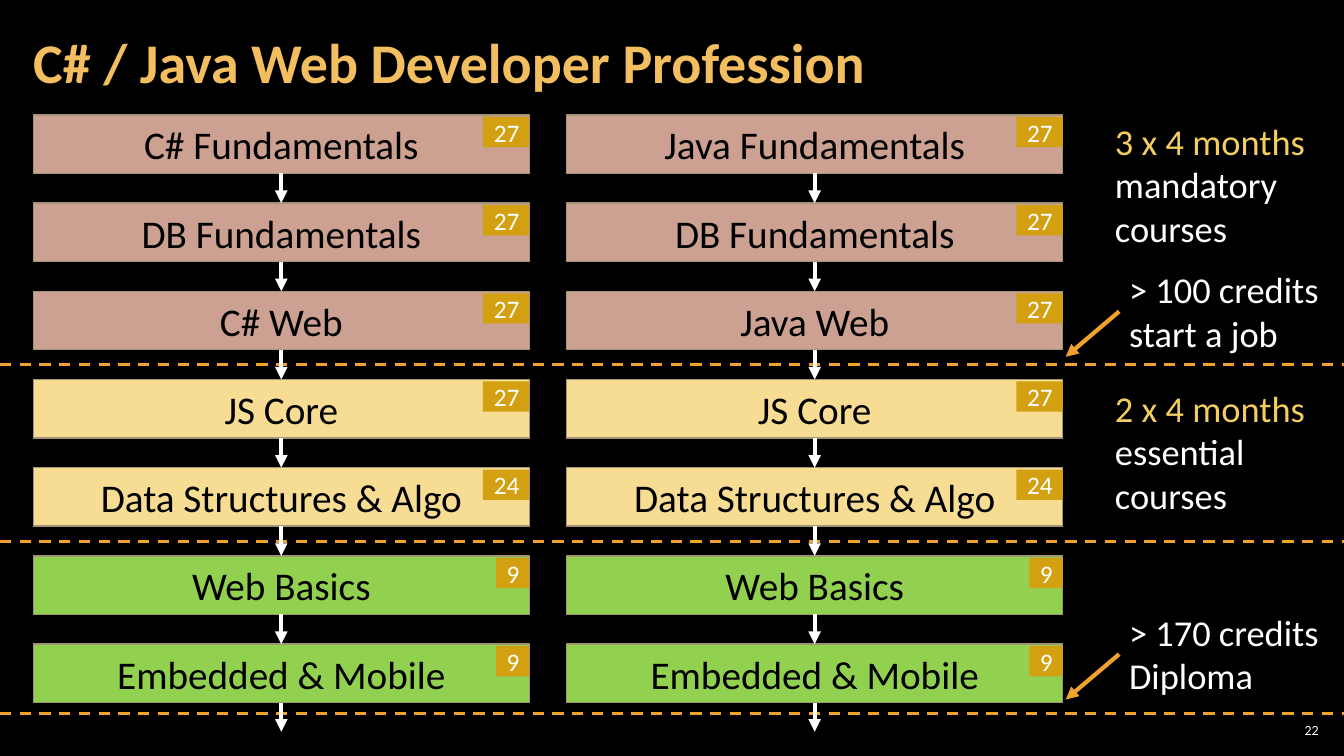
from lxml import etree
from pptx import Presentation
from pptx.dml.color import RGBColor
from pptx.enum.dml import MSO_LINE
from pptx.enum.shapes import MSO_CONNECTOR, MSO_SHAPE
from pptx.enum.text import MSO_ANCHOR, PP_ALIGN
from pptx.oxml.ns import qn
from pptx.util import Inches, Pt

RECTANGLE = MSO_SHAPE.RECTANGLE
STRAIGHT = MSO_CONNECTOR.STRAIGHT
DASH = MSO_LINE.DASH
LEFT, CENTER, RIGHT = PP_ALIGN.LEFT, PP_ALIGN.CENTER, PP_ALIGN.RIGHT
TOP, MIDDLE = MSO_ANCHOR.TOP, MSO_ANCHOR.MIDDLE
BOTTOM_SIDE, TOP_SIDE = 2, 0

WIDTH, HEIGHT = 13.33, 7.5
COLUMN_LEFTS = (0.33, 5.62)
COURSE_WIDTH, COURSE_HEIGHT = 4.92, 0.58
FIRST_ROW, ROW_STEP = 1.14, 0.87
ROW_GAP = ROW_STEP - COURSE_HEIGHT
BADGE_HEIGHT = 0.3
WHITE, BLACK, ORANGE, GOLD = "FFFFFF", "000000", "F0A22E", "F3CD60"
ROSE, CREAM, GREEN = "CCA192", "F7DD93", "92D050"

COURSES = [
    ("C# Fundamentals", "Java Fundamentals", "27", ROSE),
    ("DB Fundamentals", "DB Fundamentals", "27", ROSE),
    ("C# Web", "Java Web", "27", ROSE),
    ("JS Core", "JS Core", "27", CREAM),
    ("Data Structures & Algo", "Data Structures & Algo", "24", CREAM),
    ("Web Basics", "Web Basics", "9", GREEN),
    ("Embedded & Mobile", "Embedded & Mobile", "9", GREEN),
]
MONTH_NOTES = [
    (1.13, ["3 x 4 months", "mandatory", "courses"]),
    (3.78, ["2 x 4 months", "essential", "courses"]),
]
CREDIT_NOTES = [
    (2.6, ["> 100 credits", "start a job"]),
    (6.0, ["> 170 credits", "Diploma"]),
]


def write_text(shape, lines, size, colors, bold=False, align=LEFT, anchor=TOP,
               margins=(0.1, 0.05), wrap=True, spacing=None):
    frame = shape.text_frame
    frame.word_wrap = wrap
    frame.vertical_anchor = anchor
    frame.margin_left = frame.margin_right = Inches(margins[0])
    frame.margin_top = frame.margin_bottom = Inches(margins[1])
    for index, line in enumerate(lines):
        para = frame.paragraphs[0] if index == 0 else frame.add_paragraph()
        para.alignment = align
        para.line_spacing = spacing
        span = para.add_run()
        span.text = line
        span.font.name = "Calibri"
        span.font.size = Pt(size)
        span.font.bold = bold
        span.font.color.rgb = RGBColor.from_string(colors[min(index, len(colors) - 1)])


def draw_line(start, end, color, weight, dash=None, arrow=False):
    line = page.shapes.add_connector(STRAIGHT, *map(Inches, start + end))
    line.line.color.rgb = RGBColor.from_string(color)
    line.line.width = Pt(weight)
    line.line.dash_style = dash
    if arrow:
        etree.SubElement(line.line._get_or_add_ln(), qn("a:tailEnd"), type="triangle")
    etree.SubElement(line._element.spPr, qn("a:effectLst"))
    return line


deck = Presentation()
deck.slide_width, deck.slide_height = Inches(WIDTH), Inches(HEIGHT)
page = deck.slides.add_slide(deck.slide_layouts[6])
page.background.fill.solid()
page.background.fill.fore_color.rgb = RGBColor.from_string(BLACK)

title = page.shapes.add_textbox(Inches(0.21), Inches(0.04), Inches(10.47), Inches(1.21))
write_text(title, ["C# / Java Web Developer Profession"], 40, ["F3BE60"], bold=True,
           anchor=MIDDLE, margins=(0.12, 0.04), spacing=0.9)
number = page.shapes.add_textbox(Inches(12.65), Inches(7.14), Inches(0.47), Inches(0.21))
write_text(number, ["22"], 10, [WHITE], align=RIGHT, anchor=MIDDLE, margins=(0.04, 0.04))

for divider in (3.62, 5.37, 7.08):
    draw_line((0, divider), (WIDTH, divider), ORANGE, 2, dash=DASH)

for column, left in enumerate(COLUMN_LEFTS):
    center = left + COURSE_WIDTH / 2
    previous = None
    for row, course in enumerate(COURSES):
        credits, color = course[2:]
        top = FIRST_ROW + row * ROW_STEP + row * 0.005
        box = page.shapes.add_shape(RECTANGLE, Inches(left), Inches(top),
                                    Inches(COURSE_WIDTH), Inches(COURSE_HEIGHT))
        badge_width = 0.46 if len(credits) == 2 else 0.33
        badge = page.shapes.add_shape(
            RECTANGLE, Inches(left + COURSE_WIDTH - badge_width), Inches(top + 0.02),
            Inches(badge_width), Inches(BADGE_HEIGHT))
        for shape, fill in ((box, color), (badge, "D2A010")):
            shape.shadow.inherit = False
            shape.fill.solid()
            shape.fill.fore_color.rgb = RGBColor.from_string(fill)
        box.line.color.rgb = RGBColor.from_string("A19574")
        box.line.width = Pt(1)
        badge.line.fill.background()
        write_text(box, [course[column]], 28, [BLACK], align=CENTER, anchor=MIDDLE,
                   margins=(0.1, 0))
        write_text(badge, [credits], 18, [WHITE], align=RIGHT, anchor=MIDDLE,
                   margins=(0.1, 0), wrap=False)
        if previous:
            arrow = draw_line((center, top - ROW_GAP), (center, top), WHITE, 3, arrow=True)
            arrow.begin_connect(previous, BOTTOM_SIDE)
            arrow.end_connect(box, TOP_SIDE)
        previous = box
    bottom = top + COURSE_HEIGHT
    exit_arrow = draw_line((center, bottom), (center, bottom + ROW_GAP), WHITE, 3, arrow=True)
    exit_arrow.begin_connect(previous, BOTTOM_SIDE)

for top, lines in MONTH_NOTES:
    note = page.shapes.add_textbox(Inches(10.96), Inches(top), Inches(2.29), Inches(1.23))
    write_text(note, lines, 26, [GOLD, WHITE])

for top, lines in CREDIT_NOTES:
    note = page.shapes.add_textbox(Inches(11.1), Inches(top), Inches(2.1), Inches(0.98))
    write_text(note, lines, 26, [WHITE], wrap=False)
    draw_line((11.1, top + 0.49), (10.57, top + 0.94), ORANGE, 3, arrow=True)

deck.save("out.pptx")
